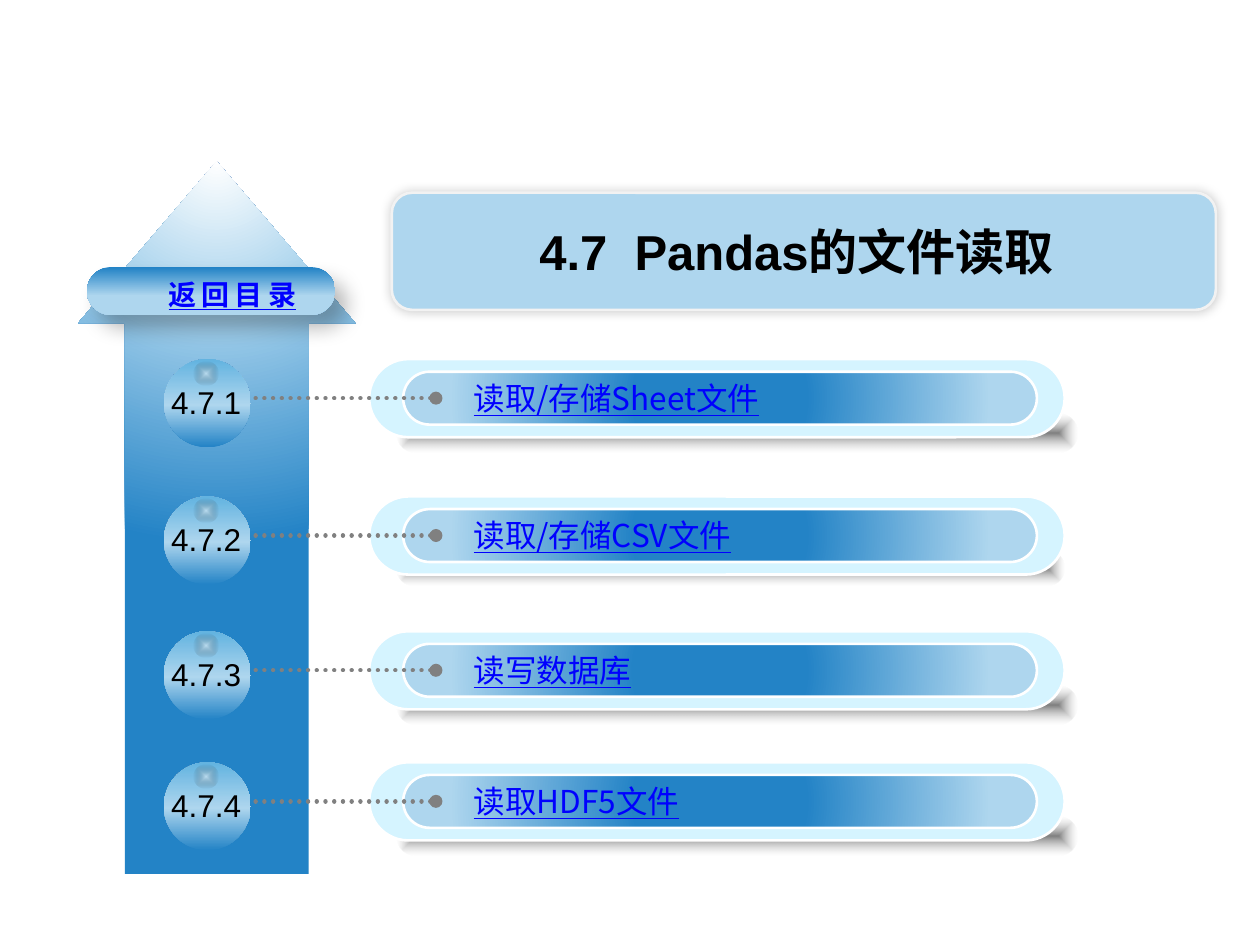
import pptx
import pptx.util
import pptx.dml.color
import pptx.enum.shapes
import pptx.enum.text
import pptx.enum.dml
import pptx.oxml
import pptx.oxml.ns

RGBColor = pptx.dml.color.RGBColor
Pt = pptx.util.Pt
SHAPE = pptx.enum.shapes.MSO_SHAPE
ALIGN = pptx.enum.text.PP_ALIGN

BLACK = RGBColor(0x00, 0x00, 0x00)
WHITE = RGBColor(0xFF, 0xFF, 0xFF)
OFF_WHITE = RGBColor(0xF2, 0xF2, 0xF2)
GRAY = RGBColor(0x80, 0x80, 0x80)
SILVER = RGBColor(0xB0, 0xB0, 0xB0)
LINK_BLUE = RGBColor(0x00, 0x00, 0xFF)
DEEP_BLUE = RGBColor(0x23, 0x83, 0xC6)
SKY_BLUE = RGBColor(0x62, 0xB3, 0xE0)
LIGHT_BLUE = RGBColor(0xAE, 0xD6, 0xEE)
PALE_BLUE = RGBColor(0xD5, 0xF4, 0xFF)
LATIN_FONT = "Arial"
CHINESE_FONT = "Noto Sans CJK SC"

CENTER = '<a:path path="{}"><a:fillToRect l="50000" t="50000" r="50000" b="50000"/></a:path>'
FROM_ABOVE = '<a:path path="circle"><a:fillToRect l="50000" t="-80000" r="50000" b="180000"/></a:path>'
LINEAR = '<a:lin ang="{}" scaled="0"/>'
NS = pptx.oxml.ns.nsdecls("a")

deck = pptx.Presentation()
deck.slide_width = pptx.util.Inches(10)
deck.slide_height = pptx.util.Inches(7.5)
page = deck.slides.add_slide(deck.slide_layouts[5])
CELL = deck.slide_width // 100  # square grid: 100 columns by 75 rows


def add_panel(parent, kind, area, fill, line=None, adjust=(), shadow=None):
    """Add a shape; fill is one colour or (stops of position, colour, opacity; direction)."""
    panel = parent.add_shape(kind, *(round(n * CELL) for n in area))
    for index, value in enumerate(adjust):
        panel.adjustments[index] = value
    panel.shadow.inherit = False
    if isinstance(fill, RGBColor):
        panel.fill.solid()
        panel.fill.fore_color.rgb = fill
    else:
        stops = "".join(
            f'<a:gs pos="{place * 1000}"><a:srgbClr val="{color}">'
            f'<a:alpha val="{opacity * 1000}"/></a:srgbClr></a:gs>'
            for place, color, opacity in fill[0])
        panel._element.spPr.find(pptx.oxml.ns.qn("a:prstGeom")).addnext(pptx.oxml.parse_xml(
            f'<a:gradFill {NS} rotWithShape="1"><a:gsLst>{stops}</a:gsLst>{fill[1]}</a:gradFill>'))
    if line:
        panel.line.color.rgb = line
        panel.line.width = Pt(1.5)
    else:
        panel.line.fill.background()
    if shadow:
        opacity, blur, distance, angle = shadow
        panel._element.spPr.find(pptx.oxml.ns.qn("a:effectLst")).append(pptx.oxml.parse_xml(
            f'<a:outerShdw {NS} blurRad="{Pt(blur)}" dist="{Pt(distance)}" dir="{angle * 60000}" '
            f'algn="ctr" rotWithShape="0"><a:srgbClr val="000000">'
            f'<a:alpha val="{opacity * 1000}"/></a:srgbClr></a:outerShdw>'))
    return panel


def write(box, area, text, size, font, color, bold=False, underline=False, align=ALIGN.LEFT):
    box.left, box.top, box.width, box.height = (round(n * CELL) for n in area)
    box.text_frame.word_wrap = True
    box.text_frame.vertical_anchor = pptx.enum.text.MSO_ANCHOR.TOP
    box.text_frame.auto_size = pptx.enum.text.MSO_AUTO_SIZE.SHAPE_TO_FIT_TEXT
    para = box.text_frame.paragraphs[0]
    para.alignment = align
    for part in text:
        span = para.add_run()
        span.text = part
        span.font.size = Pt(size)
        span.font.name = font
        span.font.bold = bold
        span.font.underline = underline
        span.font.color.rgb = color
        span.font._element.find(pptx.oxml.ns.qn("a:latin")).addnext(
            pptx.oxml.parse_xml(f'<a:ea {NS} typeface="{CHINESE_FONT}"/>'))
    return para


# Arrow and heading
arrow_fill = ([(0, WHITE, 100), (35, LIGHT_BLUE, 100), (100, DEEP_BLUE, 100)], FROM_ABOVE)
add_panel(page.shapes, SHAPE.UP_ARROW, (6.2, 12.8, 22, 56.6), arrow_fill, adjust=(0.663, 0.584))
banner = add_panel(page.shapes, SHAPE.ROUNDED_RECTANGLE, (31.1, 15.3, 65.4, 9.3), LIGHT_BLUE,
                   OFF_WHITE, (0.174,), (20, 6, 0, 225))
title = page.shapes.title
banner._element.addnext(title._element)
heading = write(title, (31.1, 17.1, 64.2, 5.7), ["4.7", " ", "Pandas的文件读取"], 28,
                LATIN_FONT, BLACK, bold=True, align=ALIGN.CENTER)
heading.runs[1].font._element.set("spc", "780")  # widens the gap after the number

# Chapter rows: number, topic, top, width and height of the soft shadow
rows = [
    ("4.7.1", "读取/存储Sheet文件", 28.5, 54, 3.1),
    ("4.7.2", "读取/存储CSV文件", 39.4, 53, 2.8),
    ("4.7.3", "读写数据库", 50.1, 54, 3.1),
    ("4.7.4", "读取HDF5文件", 60.5, 54, 3.1),
]
soft_fill = ([(0, BLACK, 50), (100, SILVER, 0)], CENTER.format("shape"))
bar_fill = ([(27, DEEP_BLUE, 100), (85, LIGHT_BLUE, 100)], CENTER.format("circle"))
ball_fill = ([(0, DEEP_BLUE, 100), (48, LIGHT_BLUE, 100), (100, SKY_BLUE, 100)],
             LINEAR.format(270 * 60000))
shine_fill = ([(0, WHITE, 50), (100, BLACK, 0)], CENTER.format("shape"))
for number, topic, top, shadow_width, shadow_height in rows:
    group = page.shapes.add_group_shape().shapes
    add_panel(group, SHAPE.ROUNDED_RECTANGLE, (31.5, top + 4.3, shadow_width, shadow_height),
              soft_fill, adjust=(0.5,))
    add_panel(group, SHAPE.ROUNDED_RECTANGLE, (29.3, top, 55.2, 6.2), PALE_BLUE, WHITE, (0.5,))
    add_panel(group, SHAPE.ROUNDED_RECTANGLE, (32, top + 1, 50.3, 4.2), bar_fill, WHITE, (0.5,))
    middle = round((top + 3.1) * CELL)
    leader = group.add_connector(pptx.enum.shapes.MSO_CONNECTOR.STRAIGHT,
                                 round(34.6 * CELL), middle, round(18.2 * CELL), middle)
    leader.line.color.rgb = GRAY
    leader.line.width = Pt(2.5)
    leader.line.dash_style = pptx.enum.dml.MSO_LINE.ROUND_DOT
    leader.line._ln.set("cap", "rnd")
    leader.line._ln.append(pptx.oxml.parse_xml(f'<a:headEnd {NS} type="oval"/>'))
    leader._element.spPr.append(pptx.oxml.parse_xml(f"<a:effectLst {NS}/>"))
    add_panel(group, SHAPE.OVAL, (13, top, 6.9, 7), ball_fill)
    add_panel(group, SHAPE.OVAL, (15.4, top + 0.2, 1.9, 1.9), shine_fill)
    write(page.shapes.add_textbox(0, 0, 0, 0), (12.6, top + 1.4, 8.7, 4), [number], 18,
          LATIN_FONT, BLACK)
    write(page.shapes.add_textbox(0, 0, 0, 0), (36.6, top + 1.1, 43.8, 4), [topic], 18,
          CHINESE_FONT, LINK_BLUE, underline=True)

# Button back to the contents
button_fill = ([(1, DEEP_BLUE, 100), (60, LIGHT_BLUE, 100)], LINEAR.format(90 * 60000))
add_panel(page.shapes, SHAPE.ROUNDED_RECTANGLE, (6.9, 21.2, 19.7, 3.8), button_fill,
          adjust=(0.5,), shadow=(28, 11.8, 10, 48))
button_box = page.shapes.add_textbox(0, 0, 0, 0)
button_text = write(button_box, (12.1, 21.5, 12.7, 3.7), ["返回目录"], 16, CHINESE_FONT,
                    LINK_BLUE, bold=True, underline=True, align=ALIGN.CENTER)
button_box.text_frame.word_wrap = False
button_text.runs[0].font._element.set("spc", "300")

deck.save("out.pptx")
